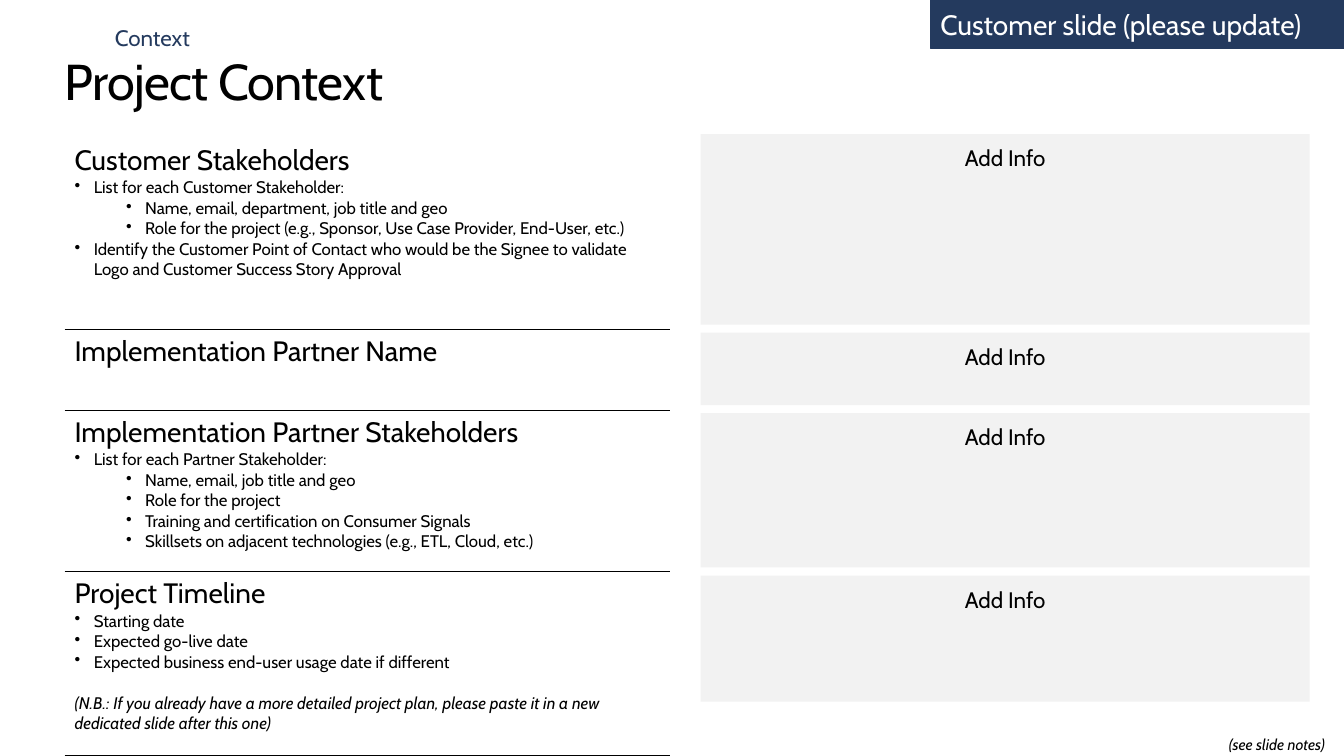
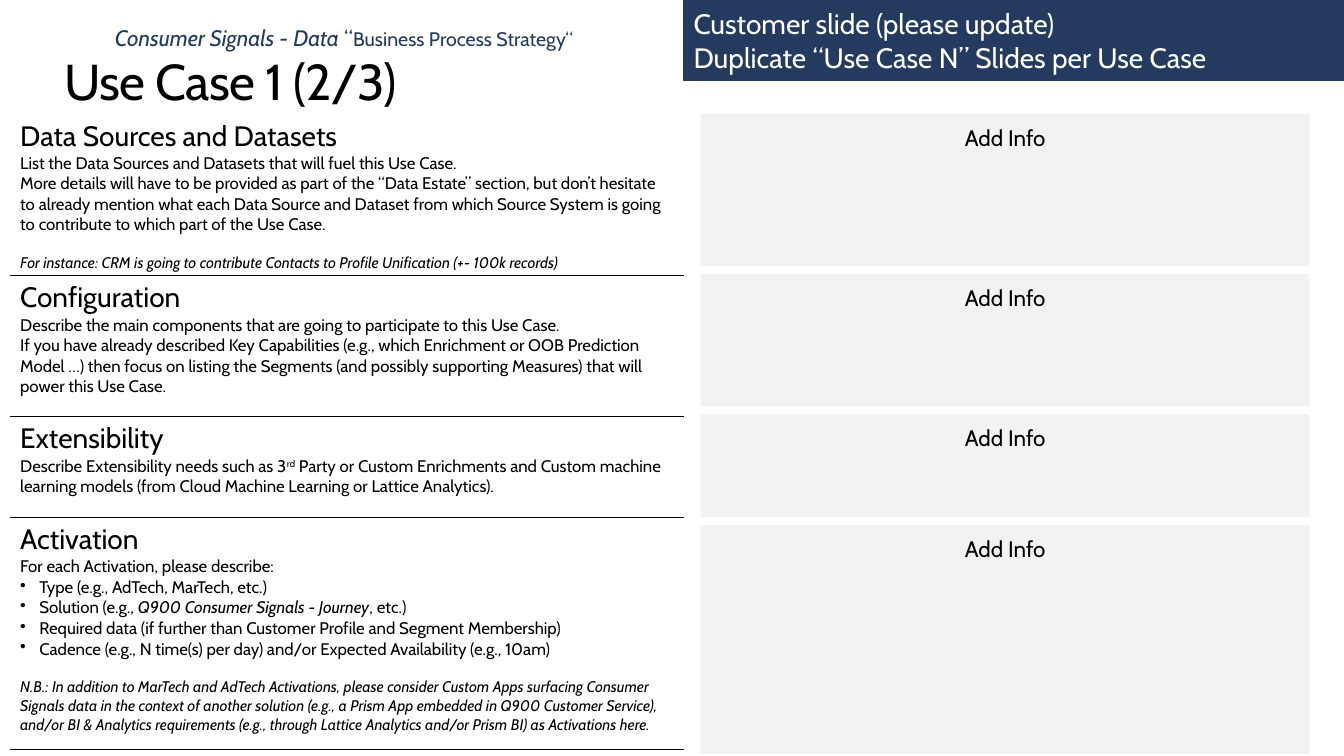
from dataclasses import dataclass

from lxml import etree
from pptx import Presentation
from pptx import util as u
from pptx.dml.color import RGBColor
from pptx.enum import shapes, text
from pptx.oxml import ns

FONT = "Cabin"
NAVY, BLACK, WHITE, GREY = "243A5E", "000000", "FFFFFF", "F2F2F2"
HEAD, BODY, SMALL = 20, 12, 11
PLAIN_TABLE = "{2D5ABB26-0587-4C30-8999-92F81FD0307C}"
CARD_X, CARD_W, CARD_GAP = 6.95, 6.04, 0.08
HANG, DEEP = 0.19, 0.7


@dataclass
class Run:
    words: str
    size: float = BODY
    italic: bool = False
    raised: bool = False


@dataclass
class Para:
    runs: list[Run]
    level: int = 0  # 0 plain, 1 bullet, 2 nested bullet
    before: float = 0


@dataclass
class Row:
    height: float
    paras: list[Para]


@dataclass
class Box:
    x: float
    y: float
    w: float
    h: float

    def place(self) -> tuple:
        return tuple(u.Inches(v) for v in (self.x, self.y, self.w, self.h))


@dataclass
class Page:
    title: str
    kicker: list[Run]
    kick_w: float
    tag: Box
    tag_lines: list[str]
    grid: Box
    rows: list[Row]
    card_y: float
    cards: list[float]
    note: str = ""


def color(code: str) -> RGBColor:
    return RGBColor.from_string(code)


# Paragraph builders
def head(words: str) -> Para:
    return Para([Run(words, HEAD)])


def plain(words: str) -> Para:
    return Para([Run(words)])


def dot(words: str) -> Para:
    return Para([Run(words)], 1)


def sub(words: str) -> Para:
    return Para([Run(words)], 2)


def aside(words: str, size: float, before: float) -> Para:
    return Para([Run(words, size, True)], 0, before)


# Text
def add_run(para, run: Run, tint: str) -> None:
    item = para.add_run()
    item.text = run.words
    font = item.font
    font.name, font.size, font.italic = FONT, u.Pt(run.size), run.italic
    font.color.rgb = color(tint)
    if run.raised:
        font._element.set("baseline", "30000")


def add_bullet(para, level: int) -> None:
    props = para._p.get_or_add_pPr()
    props.set("marL", str(u.Inches(HANG if level == 1 else DEEP)))
    props.set("indent", str(-u.Inches(HANG)))
    props.set("lvl", str(level - 1))
    etree.SubElement(props, ns.qn("a:buChar")).set("char", "•")


def write(frame, paras: list[Para], tint: str = BLACK,
          align=text.PP_ALIGN.LEFT) -> None:
    for i, part in enumerate(paras):
        para = frame.add_paragraph() if i else frame.paragraphs[0]
        para.alignment = align
        if part.level:
            add_bullet(para, part.level)
        if part.before:
            para.space_before = u.Pt(part.before)
        for run in part.runs:
            add_run(para, run, tint)


def set_frame(frame, pads: tuple = (0, 0, 0, 0), wrap: bool = True,
              anchor=text.MSO_ANCHOR.TOP) -> None:
    frame.word_wrap = wrap
    frame.vertical_anchor = anchor
    (frame.margin_left, frame.margin_top, frame.margin_right,
     frame.margin_bottom) = (u.Inches(p) for p in pads)


# Slide parts
def add_title(slide, words: str) -> None:
    title = slide.shapes.title
    title.left, title.top, title.width, title.height = Box(
        0.64, 0.5, 12.05, 0.61).place()
    set_frame(title.text_frame)
    title.text_frame.auto_size = text.MSO_AUTO_SIZE.SHAPE_TO_FIT_TEXT
    write(title.text_frame, [Para([Run(words, 36)])])
    run = title.text_frame.paragraphs[0].runs[0]
    run.font._element.set("spc", "-50")


def add_label(slide, box: Box, runs: list[Run], tint: str, wrap: bool,
              align=text.PP_ALIGN.LEFT) -> None:
    frame = slide.shapes.add_textbox(*box.place()).text_frame
    set_frame(frame, wrap=wrap)
    frame.auto_size = text.MSO_AUTO_SIZE.SHAPE_TO_FIT_TEXT
    write(frame, [Para(runs)], tint, align)


def add_rect(slide, box: Box, fill: str):
    rect = slide.shapes.add_shape(shapes.MSO_SHAPE.RECTANGLE, *box.place())
    rect.shadow.inherit = False
    rect.fill.solid()
    rect.fill.fore_color.rgb = color(fill)
    rect.line.fill.background()
    return rect


def add_tag(slide, box: Box, lines: list[str]) -> None:
    rect = add_rect(slide, box, NAVY)
    rect.line.color.rgb = color(NAVY)
    rect.line.width = u.Pt(0.25)
    set_frame(rect.text_frame, (0.1, 0.05, 0.1, 0.05),
              anchor=text.MSO_ANCHOR.MIDDLE)
    write(rect.text_frame, [head(line) for line in lines], WHITE)


def add_cards(slide, top: float, heights: list[float]) -> None:
    for high in heights:
        rect = add_rect(slide, Box(CARD_X, top, CARD_W, high), GREY)
        set_frame(rect.text_frame, (0.1, 0.1, 0.1, 0.05))
        write(rect.text_frame, [Para([Run("Add Info", 16)])],
              align=text.PP_ALIGN.CENTER)
        top += high + CARD_GAP


def rule_below(cell) -> None:
    props = cell._tc.get_or_add_tcPr()
    line = etree.Element(ns.qn("a:lnB"), w=str(u.Pt(1)))
    fill = etree.SubElement(line, ns.qn("a:solidFill"))
    etree.SubElement(fill, ns.qn("a:srgbClr")).set("val", BLACK)
    props.insert(0, line)


def add_grid(slide, box: Box, rows: list[Row]) -> None:
    frame = slide.shapes.add_table(len(rows), 1, *box.place())
    table = frame.table
    table.first_row = table.horz_banding = False
    table._tbl.tblPr.find(ns.qn("a:tableStyleId")).text = PLAIN_TABLE
    table.columns[0].width = u.Inches(box.w)
    for i, row in enumerate(rows):
        table.rows[i].height = u.Inches(row.height)
        cell = table.cell(i, 0)
        cell.fill.background()
        write(cell.text_frame, row.paras)
        rule_below(cell)


def add_page(deck, page: Page) -> None:
    slide = deck.slides.add_slide(deck.slide_layouts[5])
    add_title(slide, page.title)
    add_label(slide, Box(1.14, 0.24, page.kick_w, 0.27), page.kicker,
              NAVY, False)
    add_grid(slide, page.grid, page.rows)
    add_cards(slide, page.card_y, page.cards)
    add_tag(slide, page.tag, page.tag_lines)
    if page.note:
        add_label(slide, Box(12.02, 7.29, 1.29, 0.19),
                  [Run(page.note, SMALL, True)], BLACK, True,
                  text.PP_ALIGN.CENTER)


UPDATE = "Customer slide (please update)"

CONTEXT = Page(
    "Project Context", [Run("Context", 16)], 0.77,
    Box(9.23, 0, 4.1, 0.48), [UPDATE],
    Box(0.64, 1.37, 6.01, 6.13),
    [
        Row(1.9, [
            head("Customer Stakeholders"),
            dot("List for each Customer Stakeholder:"),
            sub("Name, email, department, job title and geo"),
            sub("Role for the project (e.g., Sponsor, Use Case Provider, "
                "End-User, etc.)"),
            dot("Identify the Customer Point of Contact who would be the "
                "Signee to validate Logo and Customer Success Story "
                "Approval")]),
        Row(0.8, [head("Implementation Partner Name")]),
        Row(1.6, [
            head("Implementation Partner Stakeholders"),
            dot("List for each Partner Stakeholder:"),
            sub("Name, email, job title and geo"),
            sub("Role for the project"),
            sub("Training and certification on Consumer Signals"),
            sub("Skillsets on adjacent technologies (e.g., ETL, Cloud, "
                "etc.)")]),
        Row(1.83, [
            head("Project Timeline"),
            dot("Starting date"),
            dot("Expected go-live date"),
            dot("Expected business end-user usage date if different"),
            aside("(N.B.: If you already have a more detailed project plan, "
                  "please paste it in a new dedicated slide after this one)",
                  BODY, 14.6)]),
    ],
    1.33, [1.89, 0.72, 1.53, 1.25], "(see slide notes)")

USE_CASE = Page(
    "Use Case 1 (2/3)",
    [Run("Consumer Signals - Data", 16, True), Run(" “", 16),
     Run("Business Process Strategy“", 14)], 4.85,
    Box(6.78, 0, 6.55, 0.8),
    [UPDATE, "Duplicate “Use Case N” Slides per Use Case"],
    Box(0.1, 1.13, 6.68, 6.3),
    [
        Row(1.6, [
            head("Data Sources and Datasets"),
            plain("List the Data Sources and Datasets that will fuel this "
                  "Use Case."),
            plain("More details will have to be provided as part of the "
                  "“Data Estate” section, but don’t hesitate to already "
                  "mention what each Data Source and Dataset from which "
                  "Source System is going to contribute to which part of "
                  "the Use Case."),
            aside("For instance: CRM is going to contribute Contacts to "
                  "Profile Unification (+- 100k records)", SMALL, 13.4)]),
        Row(1.4, [
            head("Configuration"),
            plain("Describe the main components that are going to "
                  "participate to this Use Case."),
            plain("If you have already described Key Capabilities (e.g., "
                  "which Enrichment or OOB Prediction Model …) then focus "
                  "on listing the Segments (and possibly supporting "
                  "Measures) that will power this Use Case.")]),
        Row(1, [
            head("Extensibility"),
            Para([Run("Describe Extensibility needs such as 3"),
                  Run("rd", raised=True),
                  Run(" Party or Custom Enrichments and Custom machine "
                      "learning models (from Cloud Machine Learning or "
                      "Lattice Analytics).")])]),
        Row(2.3, [
            head("Activation"),
            plain("For each Activation, please describe:"),
            dot("Type (e.g., AdTech, MarTech, etc.)"),
            Para([Run("Solution (e.g., "),
                  Run("Q900 Consumer Signals - Journey", italic=True),
                  Run(", etc.)")], 1),
            dot("Required data (if further than Customer Profile and "
                "Segment Membership)"),
            dot("Cadence (e.g., N time(s) per day) and/or Expected "
                "Availability (e.g., 10am)"),
            aside("N.B.: In addition to MarTech and AdTech Activations, "
                  "please consider Custom Apps surfacing Consumer Signals "
                  "data in the context of another solution (e.g., a Prism "
                  "App embedded in Q900 Customer Service), and/or BI & "
                  "Analytics requirements (e.g., through Lattice Analytics "
                  "and/or Prism BI) as Activations here.", SMALL, 13.4)]),
    ],
    1.13, [1.51, 1.31, 1.02, 2.27])


def main() -> None:
    deck = Presentation()
    deck.slide_width, deck.slide_height = u.Inches(13.33), u.Inches(7.5)
    for page in (CONTEXT, USE_CASE):
        add_page(deck, page)
    deck.save("out.pptx")


if __name__ == "__main__":
    main()
